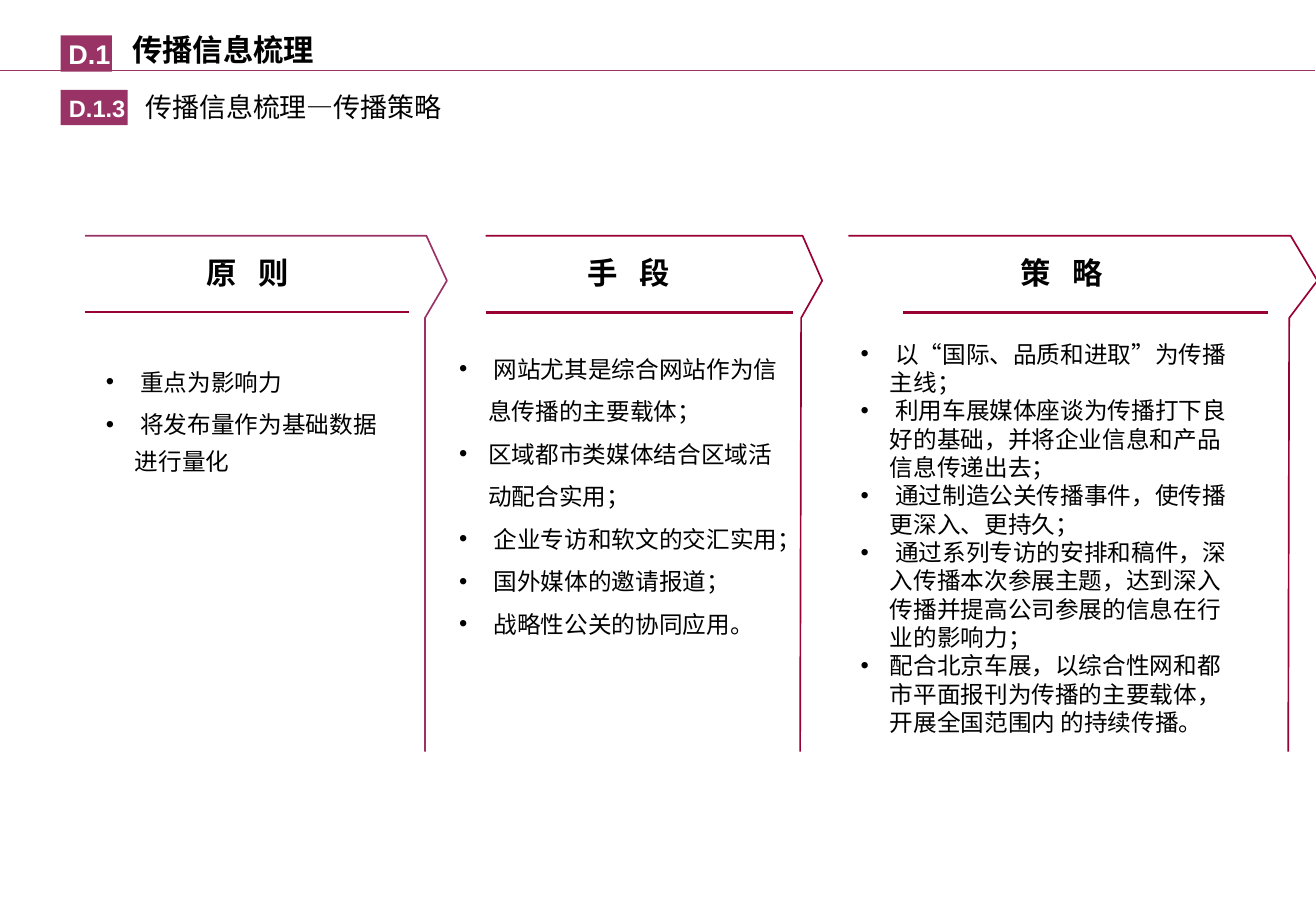
from lxml import etree
from pptx import Presentation
from pptx.dml.color import RGBColor
from pptx.enum.shapes import MSO_CONNECTOR, MSO_SHAPE
from pptx.enum.text import MSO_ANCHOR, MSO_AUTO_SIZE, PP_ALIGN
from pptx.oxml.ns import qn
from pptx.util import Cm, Pt

LINE = MSO_CONNECTOR.STRAIGHT
RECT = MSO_SHAPE.RECTANGLE
TOP, MIDDLE = MSO_ANCHOR.TOP, MSO_ANCHOR.MIDDLE
LEFT, CENTER = PP_ALIGN.LEFT, PP_ALIGN.CENTER
FIXED = MSO_AUTO_SIZE.NONE

PLUM = RGBColor(0x99, 0x33, 0x66)
WINE = RGBColor(0x99, 0x00, 0x33)
BLACK = RGBColor(0, 0, 0)
WHITE = RGBColor(0xFF, 0xFF, 0xFF)
LATIN, SERIF, HAN = "Arial", "Times New Roman", "Noto Sans CJK SC"

# Heights shared by the three columns, in cm
EDGE, TIP, NECK, FOOT = 4.93, 5.87, 6.65, 15.72
RULE, HEAD = 6.53, 5.26
DROP = 0.06  # lowers text so that the Han glyphs sit on the line
HANG = Cm(0.61)

COLUMNS = [
    dict(head="原 则", label=(2.01, 6.35), xs=(1.78, 8.92, 9.35, 8.89, 8.89),
         color=PLUM, rule=(8.56, 1.78), width=1, slot=2,
         box=(1.96, 7.32, 6.6, 2.69), pitch=1.3, gap=3.5,
         items=[" 重点为影响力", " 将发布量作为基础数据进行量化"]),
    dict(head="手 段", label=(10.52, 5.28),
         xs=(10.16, 16.79, 17.2, 16.76, 16.74),
         color=WINE, rule=(16.59, 10.16), width=1.75, slot=4,
         box=(9.35, 6.93, 7.39, 6.48), pitch=1.5, gap=0,
         items=[" 网站尤其是综合网站作为信息传播的主要载体；",
                "区域都市类媒体结合区域活动配合实用；",
                " 企业专访和软文的交汇实用；",
                " 国外媒体的邀请报道；",
                " 战略性公关的协同应用。"]),
    dict(head="策 略", label=(18.36, 7.7),
         xs=(17.75, 27, 27.56, 26.97, 26.95),
         color=WINE, rule=(26.52, 18.9), width=1.75, slot=3,
         box=(17.75, 6.91, 8.51, 7.98), pitch=1, gap=0,
         items=[" 以“国际、品质和进取”为传播主线；",
                " 利用车展媒体座谈为传播打下良好的基础，并将企业信息和产品信息传递出去；",
                " 通过制造公关传播事件，使传播更深入、更持久；",
                " 通过系列专访的安排和稿件，深入传播本次参展主题，达到深入传播并提高"
                "公司参展的信息在行业的影响力；",
                "配合北京车展，以综合性网和都市平面报刊为传播的主要载体，"
                "开展全国范围内 的持续传播。"]),
]


class Page:
    def __init__(self, deck):
        self.slide = deck.slides.add_slide(deck.slide_layouts[4])
        self.shapes = self.slide.shapes
        self.slots = {p.placeholder_format.idx: p
                      for p in self.slide.placeholders}

    def style(self, para, size, font, color=BLACK, bold=False):
        face = para.font
        face.size, face.name, face.bold = Pt(size), font, bold
        face.color.rgb = color
        node = para._p.pPr.find(qn("a:defRPr"))
        etree.SubElement(node, qn("a:ea")).set("typeface", HAN)

    def bullet(self, para):
        props = para._p.get_or_add_pPr()
        props.set("marL", str(HANG))
        props.set("indent", str(-HANG))
        tint = etree.SubElement(props, qn("a:buClr"))
        etree.SubElement(tint, qn("a:srgbClr")).set("val", str(BLACK))
        etree.SubElement(props, qn("a:buChar")).set("char", "•")

    def fill(self, slot, box, lines, size, font, bold=False, pitch=1, gap=0,
             dots=False):
        """Move a template placeholder and write its paragraphs."""
        shape = self.slots[slot]
        left, top, width, height = box
        shape.left, shape.top = Cm(left), Cm(top + DROP)
        shape.width, shape.height = Cm(width), Cm(height)
        frame = shape.text_frame
        frame.word_wrap, frame.auto_size = True, FIXED
        frame.vertical_anchor = TOP
        frame.text = "\n".join(lines)
        for i, para in enumerate(frame.paragraphs):
            if dots:
                self.bullet(para)
            para.alignment = LEFT
            para.line_spacing = Pt(round(size * 1.2 * pitch, 1))
            para.space_before = Pt(gap if i else 0)
            self.style(para, size, font, bold=bold)

    def center(self, frame, text):
        frame.margin_left = frame.margin_right = 0
        frame.margin_top = frame.margin_bottom = 0
        frame.vertical_anchor = MIDDLE
        frame.text = text
        para = frame.paragraphs[0]
        para.alignment = CENTER
        return para

    def badge(self, box, text, size):
        shape = self.shapes.add_shape(RECT, *map(Cm, box))
        shape.shadow.inherit = False
        shape.fill.solid()
        shape.fill.fore_color.rgb = PLUM
        shape.line.fill.background()
        frame = shape.text_frame
        para = self.center(frame, text)
        frame.word_wrap = False
        frame.margin_left = Cm(0.13)
        self.style(para, size, LATIN, WHITE, True)

    def label(self, left, width, text):
        box = self.shapes.add_textbox(Cm(left), Cm(HEAD + DROP),
                                      Cm(width), Cm(0.76))
        para = self.center(box.text_frame, text)
        box.text_frame.word_wrap = True
        para.line_spacing = Pt(21.6)
        self.style(para, 18, LATIN, bold=True)
        para.runs[0].font._element.set("spc", "450")

    def rule(self, start, end, y, color, width):
        line = self.shapes.add_connector(LINE, Cm(start), Cm(y),
                                         Cm(end), Cm(y))
        line.line.color.rgb, line.line.width = color, Pt(width)
        etree.SubElement(line._element.spPr, qn("a:effectLst"))

    def arrow(self, xs, color):
        """Draw the open outline of a column with its pointed side."""
        ys = (EDGE, EDGE, TIP, NECK, FOOT)
        points = [(Cm(x), Cm(y)) for x, y in zip(xs, ys)]
        path = self.shapes.build_freeform(*points[0])
        path.add_line_segments(points[1:], close=False)
        shape = path.convert_to_shape()
        shape.shadow.inherit = False
        shape.fill.background()
        shape.line.color.rgb, shape.line.width = color, Pt(1)

    def column(self, col):
        self.fill(col["slot"], col["box"], col["items"], 14, SERIF,
                  pitch=col["pitch"], gap=col["gap"], dots=True)
        self.arrow(col["xs"], col["color"])
        self.rule(*col["rule"], RULE, WINE, col["width"])
        self.label(*col["label"], col["head"])


def main():
    deck = Presentation()
    deck.slide_width, deck.slide_height = Cm(27.53), Cm(19.05)
    page = Page(deck)
    page.rule(0, 27.51, 1.47, PLUM, 0.75)
    page.badge((1.27, 0.74, 1.07, 0.76), "D.1", 16)
    page.fill(0, (2.51, 0.46, 5.51, 1.02), ["传播信息梳理"], 18, HAN, True)
    page.badge((1.27, 1.88, 1.4, 0.74), "D.1.3", 14)
    page.fill(1, (2.79, 1.7, 7.8, 0.94), ["传播信息梳理—传播策略"], 16, HAN)
    for col in COLUMNS:
        page.column(col)
    deck.save("out.pptx")


if __name__ == "__main__":
    main()
